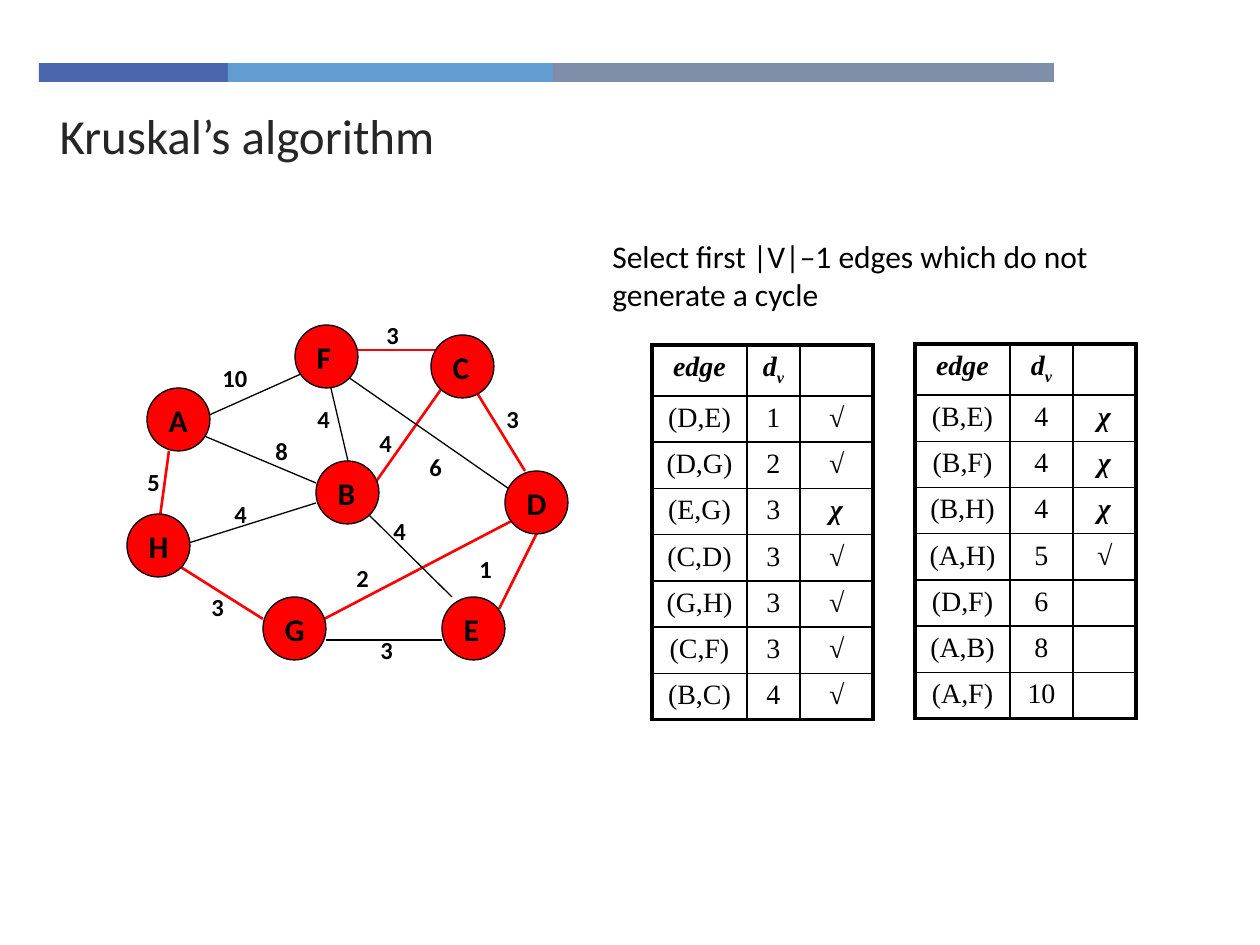
from lxml.etree import SubElement
from pptx import Presentation
from pptx.dml.color import RGBColor
from pptx.enum.shapes import MSO_CONNECTOR, MSO_SHAPE
from pptx.enum.text import MSO_ANCHOR, PP_ALIGN
from pptx.oxml.ns import qn
from pptx.util import Emu, Pt

PX_PER_INCH = 126
BLACK, RED = "000000", "FF0000"
NODE_SIZE, LABEL_HEIGHT = 63, 42
CHOSEN, REJECTED = "√", "χ"

# Header strip: left, width, colour
BARS = [(39, 189, "4A66AC"), (228, 325, "629DD1"), (553, 501, "7F8FA9")]

# Node name: left, top
NODES = {
    "A": (147, 388), "H": (127, 514), "B": (316, 461), "F": (295, 325),
    "E": (442, 597), "D": (505, 471), "C": (431, 335), "G": (263, 597),
}

# Edges by weight: ends, weight, mark, line (x1, y1, x2, y2), label (left, top, width)
EDGES = [
    ("DE", 1, CHOSEN, (552, 503, 499, 609), (467, 548, 65)),
    ("DG", 2, CHOSEN, (305, 629, 525, 514), (344, 557, 42)),
    ("EG", 3, REJECTED, (442, 640, 326, 640), (368, 629, 42)),
    ("CD", 3, CHOSEN, (474, 388, 525, 471), (494, 398, 42)),
    ("GH", 3, CHOSEN, (263, 619, 179, 566), (199, 586, 42)),
    ("CF", 3, CHOSEN, (354, 350, 437, 350), (374, 314, 42)),
    ("BC", 4, CHOSEN, (368, 493, 442, 388), (367, 422, 42)),
    ("BE", 4, REJECTED, (368, 514, 452, 597), (381, 510, 65)),
    ("BF", 4, REJECTED, (326, 367, 348, 461), (305, 398, 42)),
    ("BH", 4, REJECTED, (179, 546, 316, 503), (222, 493, 42)),
    ("AH", 5, CHOSEN, (159, 524, 169, 451), (135, 461, 42)),
    ("DF", 6, "", (515, 493, 348, 377), (417, 446, 65)),
    ("AB", 8, "", (190, 430, 316, 483), (263, 430, 42)),
    ("AF", 10, "", (207, 416, 301, 374), (210, 357, 65)),
]


def px(*lengths):
    return [Emu(round(length * 914400 / PX_PER_INCH)) for length in lengths]


def color(value):
    return RGBColor.from_string(value)


def write(para, text, size=18, font="Calibri", fill=BLACK, bold=False,
          italic=False, subscript=False, align=PP_ALIGN.LEFT):
    para.alignment = align
    span = para.add_run()
    span.text = text
    span.font.size = Pt(size)
    span.font.name = font
    span.font.bold = bold
    span.font.italic = italic
    span.font.color.rgb = color(fill)
    if subscript:
        span.font._element.set("baseline", "-25000")


def add_text(page, text, left, top, width, height, **style):
    box = page.shapes.add_textbox(*px(left, top, width, height))
    box.text_frame.word_wrap = True
    write(box.text_frame.paragraphs[0], text, **style)


def add_title(page, text):
    title = page.shapes.title
    title.left, title.top, title.width, title.height = px(47, 101, 902, 68)
    title.text_frame.vertical_anchor = MSO_ANCHOR.MIDDLE
    write(title.text_frame.paragraphs[0], text, size=28, fill="262626")


def add_bar(page, left, width, fill):
    bar = page.shapes.add_shape(MSO_SHAPE.RECTANGLE, *px(left, 63, width, 19))
    bar.shadow.inherit = False
    bar.fill.solid()
    bar.fill.fore_color.rgb = color(fill)
    bar.line.fill.background()


def add_edge(page, points, chosen):
    edge = page.shapes.add_connector(MSO_CONNECTOR.STRAIGHT, *px(*points))
    edge.line.color.rgb = color(RED if chosen else BLACK)
    edge.line.width = Pt(1.5 if chosen else 0.75)
    SubElement(edge._element.spPr, qn("a:effectLst"))


def add_node(page, name, left, top):
    node = page.shapes.add_shape(
        MSO_SHAPE.OVAL, *px(left, top, NODE_SIZE, NODE_SIZE))
    node.shadow.inherit = False
    node.fill.solid()
    node.fill.fore_color.rgb = color(RED)
    node.line.color.rgb = color(BLACK)
    node.line.width = Pt(0.75)
    frame = node.text_frame
    frame.word_wrap = False
    frame.vertical_anchor = MSO_ANCHOR.MIDDLE
    write(frame.paragraphs[0], name, bold=True)


def set_borders(cell, outer):
    """Draw all four borders, thicker on the sides named in outer."""
    properties = cell._tc.get_or_add_tcPr()
    for side in "LRTB":
        width = Pt(2.25 if side in outer else 1)
        line = SubElement(properties, qn(f"a:ln{side}"), w=str(width))
        fill = SubElement(line, qn("a:solidFill"))
        SubElement(fill, qn("a:srgbClr"), val=BLACK)
    cell.fill.background()


def fill_cell(cell, text, **style):
    para = cell.text_frame.paragraphs[0]
    para.space_before = Pt(1)
    if text:
        write(para, text, size=16, font="Times New Roman",
              align=PP_ALIGN.CENTER, **style)
    else:
        SubElement(para._p, qn("a:endParaRPr"), sz="1600")


def add_edge_table(page, edges, left, top, widths):
    rows = [("edge", "d", "")]
    rows += [(f"({ends[0]},{ends[1]})", str(weight), mark)
             for ends, weight, mark, *_ in edges]
    heights = [51] + [46] * len(edges)
    table = page.shapes.add_table(
        len(rows), len(widths),
        *px(left, top, sum(widths), sum(heights))).table
    table.first_row = table.horz_banding = False
    for column, width in zip(table.columns, px(*widths)):
        column.width = width
    for row, height in zip(table.rows, px(*heights)):
        row.height = height

    last_row, last_column = len(rows) - 1, len(widths) - 1
    for i, values in enumerate(rows):
        for j, text in enumerate(values):
            cell = table.cell(i, j)
            outer = [side for side, at_edge in zip(
                "TBLR", (i == 0, i == last_row, j == 0, j == last_column))
                if at_edge]
            set_borders(cell, outer)
            strong = i == 0 or j == last_column
            fill_cell(cell, text, bold=strong, italic=strong)
    write(table.cell(0, 1).text_frame.paragraphs[0], "v", size=16,
          font="Times New Roman", bold=True, italic=True, subscript=True,
          align=PP_ALIGN.CENTER)


def main():
    deck = Presentation()
    deck.slide_width, deck.slide_height = px(1260, 945)
    page = deck.slides.add_slide(deck.slide_layouts[5])

    # Heading and rule
    for bar in BARS:
        add_bar(page, *bar)
    add_title(page, "Kruskal’s algorithm")
    add_text(page, "Select first |V|–1 edges which do not generate a cycle",
             600, 231, 557, 97)

    # Graph: edges lie under the nodes, weights on top
    for _, _, mark, points, _ in EDGES:
        add_edge(page, points, mark == CHOSEN)
    for name, corner in NODES.items():
        add_node(page, name, *corner)
    for _, weight, _, _, place in EDGES:
        add_text(page, str(weight), *place, LABEL_HEIGHT, size=14, bold=True)

    # Sorted edges, half in each table
    half = len(EDGES) // 2
    add_edge_table(page, EDGES[:half], 652, 345, (95, 53, 73))
    add_edge_table(page, EDGES[half:], 915, 344, (95, 63, 63))

    deck.save("out.pptx")


if __name__ == "__main__":
    main()
